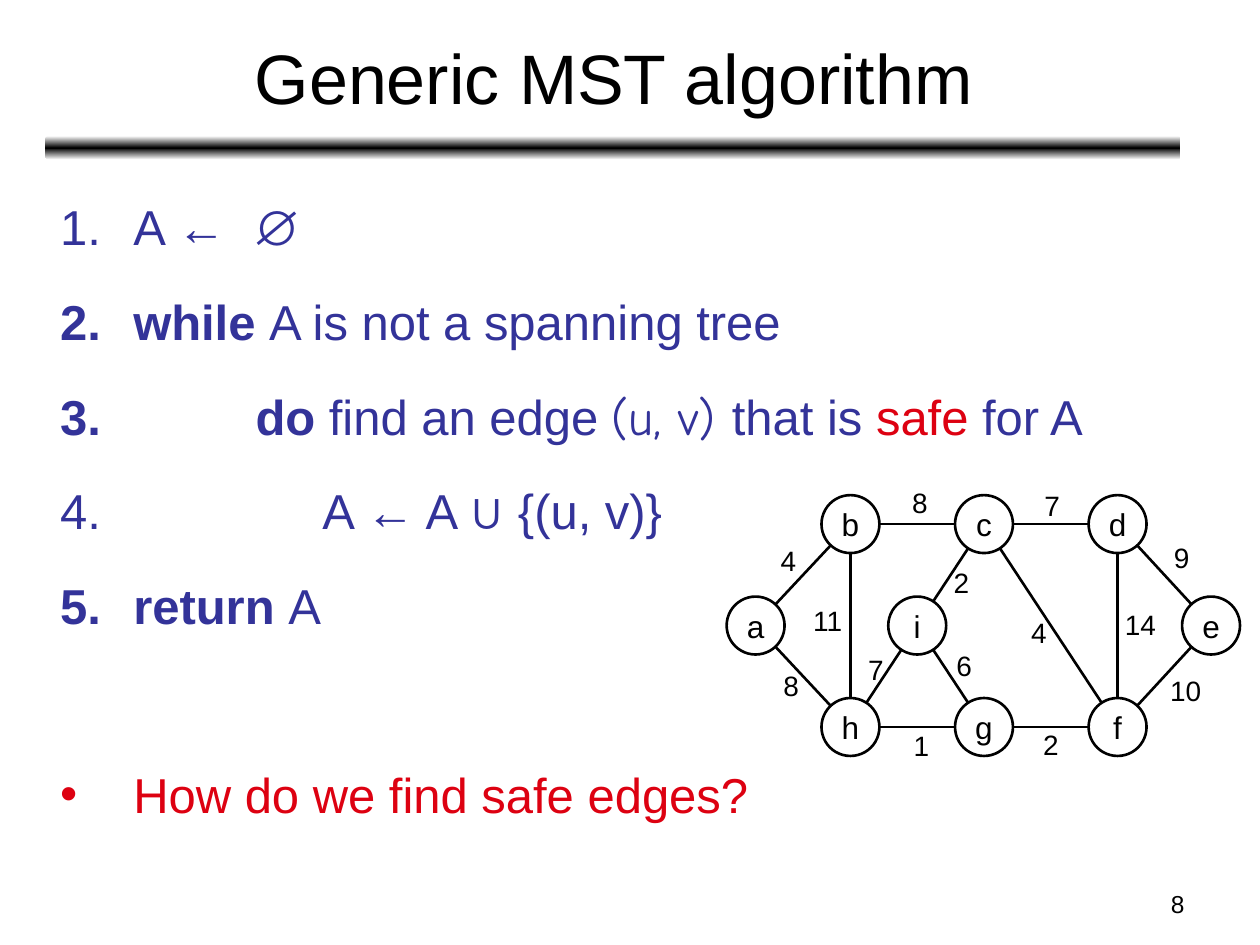
"""Build a slide on the generic MST algorithm with a weighted graph."""
from copy import deepcopy
from math import hypot

from lxml.etree import SubElement as Sub
from pptx import Presentation
from pptx.dml.color import RGBColor
from pptx.enum.shapes import MSO_CONNECTOR as Conn, MSO_SHAPE as Kind
from pptx.enum.text import MSO_ANCHOR as Anchor, PP_ALIGN as Align
from pptx.oxml.ns import qn
from pptx.util import Inches, Pt

WIDE, HIGH = 10, 7.5
BLACK, BLUE, RED = "000000", "333399", "DD0111"
LEFT, TOP, COL, ROW = 6.75, 4.16, 1.06, 0.805
SIZE = 0.46
INDENT = 0.58

NODES = {
    "a": (-0.71, 1), "b": (0, 0), "c": (1, 0), "d": (2, 0), "e": (2.7, 1),
    "h": (0, 2), "g": (1, 2), "f": (2, 2), "i": (0.5, 1),
}
EDGES = [
    ("ab", "4", -0.11, -0.14), ("bc", "8", 0.02, -0.22),
    ("cd", "7", 0.01, -0.19), ("ah", "8", -0.09, 0.09),
    ("bh", "11", -0.17, -0.05), ("hg", "1", 0.03, 0.18),
    ("gf", "2", 0, 0.17), ("hi", "7", -0.06, -0.07),
    ("ci", "2", 0.08, 0.07), ("cf", "4", -0.09, 0.07),
    ("df", "14", 0.17, -0.01), ("de", "9", 0.13, -0.17),
    ("ef", "10", 0.16, 0.14), ("gi", "6", 0.1, -0.11),
]
BOLD = {"bold": True}
COMIC = {"name": "Comic Neue"}
STEPS = [
    (0, [("A ←", {}), (" ", {"gap": 7.8}), ("∅", {})]),
    (0, [("while ", BOLD), ("A is not a spanning tree", {})]),
    (0.97, [("do ", BOLD), ("find an edge ", {}), ("(u, v) ", COMIC),
            ("that is ", {}), ("safe", {"color": RED}), (" for A", {})]),
    (1.5, [("A ← A ∪ {(u, v)}", {})]),
    (0, [("return ", BOLD), ("A", {})]),
]


def paint(part, tone):
    """Give a colour format the colour of a hex string."""
    part.rgb = RGBColor.from_string(tone)


def share(left, top, width, height):
    """Turn shares of the slide's size into lengths."""
    return [Inches(part * full) for part, full in
            zip((left, top, width, height), (WIDE, HIGH) * 2)]


def spot(col, row):
    """Return the inches of a place on the graph's grid."""
    return LEFT + col * COL, TOP + row * ROW


def around(x, y, width, height):
    """Return the lengths of a box centred on a point in inches."""
    return [Inches(n) for n in (x - width / 2, y - height / 2, width, height)]


def style(item, values):
    """Set attributes from a dict of format values."""
    for name, value in values.items():
        setattr(item, name, value)


def write(para, text, size, color=BLACK, gap=0, **font):
    """Add a styled run to a paragraph."""
    run = para.add_run()
    run.text = text
    style(run.font, {"size": Pt(size), "name": "Arial", "bold": False} | font)
    paint(run.font.color, color)
    if gap:
        run.font._element.set("spc", str(round(gap * 100)))


def label(slide, area, text, size, align=Align.CENTER, wrap=True):
    """Add a text box with one line."""
    frame = slide.shapes.add_textbox(*area).text_frame
    style(frame, {"word_wrap": wrap, "vertical_anchor": Anchor.MIDDLE})
    para = frame.paragraphs[0]
    para.alignment = align
    write(para, text, size)


def bar(slide):
    """Draw the shaded bar below the title."""
    shape = slide.shapes.add_shape(
        Kind.ROUNDED_RECTANGLE, *share(0.036, 0.144, 0.901, 0.025))
    shape.shadow.inherit = False
    shape.line.fill.background()
    fill = shape.fill
    fill.gradient()
    fill.gradient_angle = 90
    stops = shape._element.spPr.find(".//" + qn("a:gsLst"))
    stops.insert(1, deepcopy(stops[0]))
    for stop, place, tone in zip(
            fill.gradient_stops, (0, 0.5, 1), ("FFFFFF", BLACK, "FFFFFF")):
        stop.position = place
        paint(stop.color, tone)


def bullet(para, mark, tone, inset=0):
    """Give a paragraph a hanging number or dot."""
    props = para._p.get_or_add_pPr()
    hang = Inches(INDENT + inset)
    props.set("marL", str(hang))
    props.set("indent", str(-hang))
    Sub(Sub(props, qn("a:buClr")), qn("a:srgbClr"), val=tone)
    Sub(props, qn("a:buFont"), typeface="Arial")
    key = "char" if mark == "•" else "type"
    tag = "a:buChar" if mark == "•" else "a:buAutoNum"
    Sub(props, qn(tag), {key: mark})


def steps(slide):
    """Write the numbered steps and the closing question."""
    frame = slide.shapes.add_textbox(*share(0.038, 0.177, 0.9, 0.74)).text_frame
    frame.word_wrap = True
    ask = (0, [("How do we find safe edges?", {"color": RED})])
    for rank, (inset, runs) in enumerate(STEPS + [ask]):
        last = rank == len(STEPS)
        para = frame.add_paragraph() if rank else frame.paragraphs[0]
        style(para, {"line_spacing": 1.4, "space_before": Pt(61 if last else 7)})
        bullet(para, "•" if last else "arabicPeriod",
               RED if last else BLUE, inset)
        for text, font in runs:
            write(para, text, 28, **{"color": BLUE} | font)


def node(slide, name):
    """Draw a graph node as a named circle."""
    shape = slide.shapes.add_shape(
        Kind.OVAL, *around(*spot(*NODES[name]), SIZE, SIZE))
    shape.shadow.inherit = False
    shape.fill.background()
    paint(shape.line.color, BLACK)
    shape.line.width = Pt(1.5)
    frame = shape.text_frame
    style(frame, {"word_wrap": False, "vertical_anchor": Anchor.MIDDLE})
    para = frame.paragraphs[0]
    para.alignment = Align.CENTER
    write(para, name, 18)


def edge(slide, ends, weight, right, down):
    """Join the rims of two nodes and set the weight beside the middle."""
    (ax, ay), (bx, by) = [spot(*NODES[end]) for end in ends]
    trim = SIZE / 2 / hypot(bx - ax, by - ay)
    dx, dy = (bx - ax) * trim, (by - ay) * trim
    line = slide.shapes.add_connector(
        Conn.STRAIGHT,
        *[Inches(n) for n in (ax + dx, ay + dy, bx - dx, by - dy)])
    paint(line.line.color, BLACK)
    line.line.width = Pt(1.5)
    Sub(line._element.spPr, qn("a:effectLst"))
    x, y = (ax + bx) / 2 + right * COL, (ay + by) / 2 + down * ROW
    width = 0.2 + 0.15 * len(weight)
    label(slide, around(x, y, width, 0.37), weight, 16, wrap=False)


def main():
    """Build and save the slide."""
    deck = Presentation()
    style(deck, {"slide_width": Inches(WIDE), "slide_height": Inches(HIGH)})
    slide = deck.slides.add_slide(deck.slide_layouts[6])
    bar(slide)
    label(slide, share(0.717, 0.933, 0.233, 0.047), "8", 14, Align.RIGHT)
    label(slide, share(0.037, 0.015, 0.9, 0.132), "Generic MST algorithm", 40)
    steps(slide)
    for name in NODES:
        node(slide, name)
    for item in EDGES:
        edge(slide, *item)
    deck.save("out.pptx")


if __name__ == "__main__":
    main()
